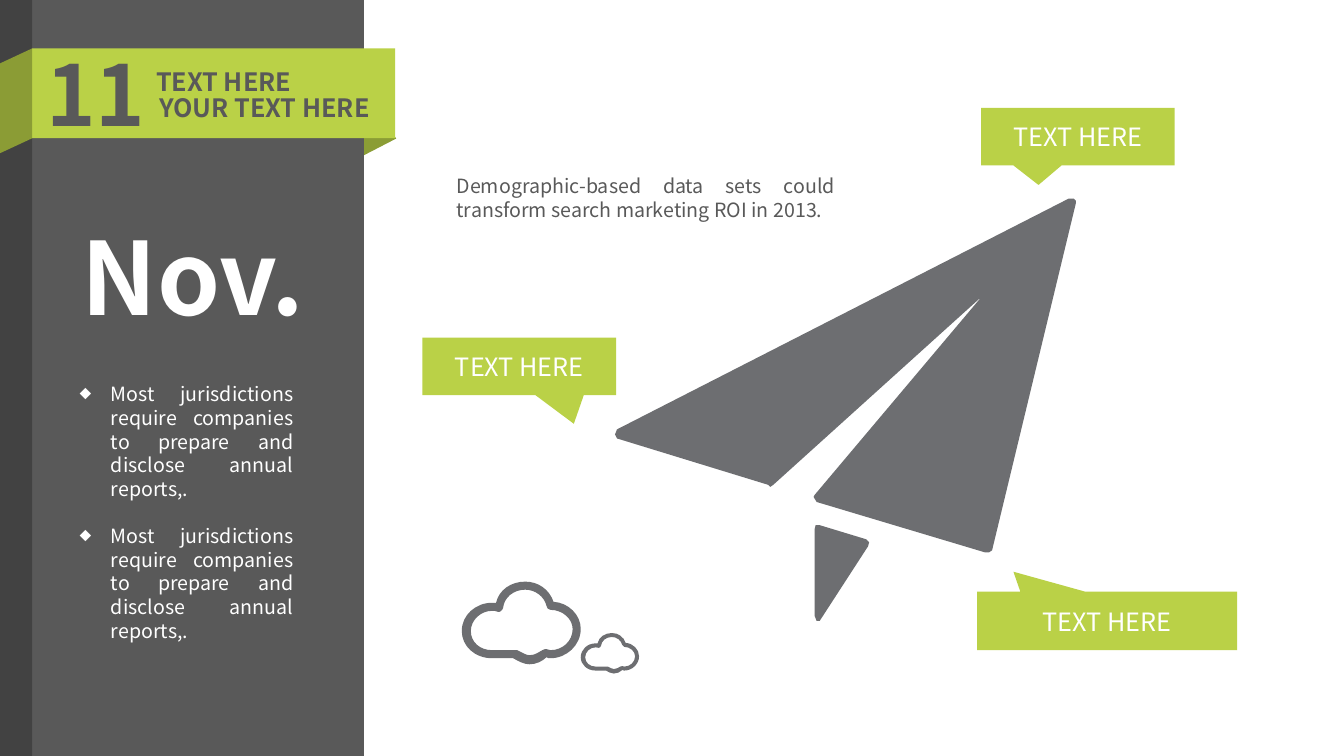
from lxml.etree import SubElement
from pptx import Presentation
from pptx.dml.color import RGBColor
from pptx.enum.shapes import MSO_SHAPE
from pptx.enum.text import MSO_ANCHOR, MSO_AUTO_SIZE, PP_ALIGN
from pptx.oxml.ns import qn
from pptx.util import Inches, Pt

FONT = "Noto Sans CJK SC"
LINE_HEIGHT = 1.205
LIME = RGBColor(0xBA, 0xD1, 0x47)
OLIVE = RGBColor(0x8B, 0x9D, 0x35)
CHARCOAL = RGBColor(0x59, 0x59, 0x59)
SLATE = RGBColor(0x6D, 0x6E, 0x71)
BLACK = RGBColor(0, 0, 0)
WHITE = RGBColor(0xFF, 0xFF, 0xFF)

WINGS = [
    (10.65, 1.97), (10.6, 1.97), (6.12, 4.26), (6.1, 4.31), (6.12, 4.35),
    (7.62, 4.81), (7.64, 4.83), (7.67, 4.81), (9.74, 2.94), (8.08, 4.91),
    (8.07, 4.93), (8.1, 4.98), (9.77, 5.48), (9.81, 5.48), (9.84, 5.46),
    (10.67, 2.02), (10.67, 1.99),
]
KEEL = [
    (8.59, 5.35), (8.13, 5.21), (8.09, 5.21), (8.08, 5.25), (8.08, 6.11),
    (8.1, 6.16), (8.13, 6.16), (8.15, 6.13), (8.61, 5.42), (8.62, 5.38),
]
CLOUD_OUTSIDE = [
    (0.67, 0.82), (0.62, 0.82), (0.56, 0.79), (0.51, 0.76),
    (0.3, 0.76), (0.3, 0.76), (0.3, 0.76), (0.13, 0.76), (0, 0.64), (0, 0.49),
    (0, 0.33), (0.14, 0.21), (0.3, 0.21), (0.31, 0.21), (0.33, 0.21), (0.34, 0.21),
    (0.37, 0.08), (0.49, 0), (0.63, 0), (0.76, 0), (0.87, 0.08), (0.91, 0.2),
    (1.06, 0.21), (1.18, 0.33), (1.18, 0.47), (1.18, 0.63), (1.04, 0.76), (0.88, 0.76),
    (0.87, 0.76), (0.85, 0.76), (0.84, 0.75), (0.8, 0.79), (0.74, 0.82), (0.67, 0.82),
]
CLOUD_INSIDE = [
    (0.3, 0.29), (0.19, 0.29), (0.09, 0.38), (0.09, 0.49),
    (0.09, 0.6), (0.18, 0.68), (0.3, 0.68), (0.53, 0.68), (0.53, 0.68), (0.53, 0.68),
    (0.54, 0.68), (0.54, 0.68), (0.55, 0.68), (0.59, 0.7), (0.64, 0.73), (0.67, 0.73),
    (0.73, 0.73), (0.76, 0.7), (0.8, 0.68), (0.81, 0.67), (0.83, 0.67), (0.84, 0.67),
    (0.85, 0.67), (0.87, 0.68), (0.88, 0.68), (1, 0.68), (1.1, 0.59), (1.1, 0.47),
    (1.1, 0.37), (1, 0.28), (0.88, 0.28), (0.86, 0.28), (0.84, 0.26), (0.84, 0.24),
    (0.82, 0.15), (0.73, 0.08), (0.63, 0.08), (0.51, 0.08), (0.42, 0.16), (0.41, 0.26),
    (0.41, 0.27), (0.4, 0.28), (0.39, 0.29), (0.39, 0.3), (0.37, 0.3), (0.36, 0.3),
    (0.34, 0.29), (0.32, 0.29), (0.3, 0.29),
]


def paint(shape, color):
    """Give a shape a flat fill without line or shadow."""
    shape.shadow.inherit = False
    shape.fill.solid()
    shape.fill.fore_color.rgb = color
    shape.line.fill.background()


def add_block(slide, kind, box, color, adjustments=(), rotation=0):
    """Add a flat preset shape."""
    shape = slide.shapes.add_shape(kind, *map(Inches, box))
    paint(shape, color)
    shape.rotation = rotation
    for index, value in enumerate(adjustments):
        shape.adjustments[index] = value
    return shape


def write_text(paragraph, text, size, color, bold=False, align=PP_ALIGN.LEFT):
    """Write one formatted run into a paragraph."""
    paragraph.alignment = align
    paragraph.line_spacing = Pt(round(size * LINE_HEIGHT, 1))
    paragraph.space_before = paragraph.space_after = Pt(0)
    run = paragraph.add_run()
    run.text = text
    run.font.name = FONT
    run.font.size = Pt(size)
    run.font.bold = bold
    run.font.color.rgb = color


def add_label(slide, box, text, size, bold=True, align=PP_ALIGN.LEFT, wrap=False):
    """Add a charcoal text box."""
    frame = slide.shapes.add_textbox(*map(Inches, box)).text_frame
    frame.word_wrap = wrap
    write_text(frame.paragraphs[0], text, size, CHARCOAL, bold, align)


def add_callout(slide, box, pointer):
    """Add a lime callout whose tip is set by the pointer."""
    shape = add_block(slide, MSO_SHAPE.RECTANGULAR_CALLOUT, box, LIME, pointer)
    shape.text_frame.vertical_anchor = MSO_ANCHOR.MIDDLE
    write_text(shape.text_frame.paragraphs[0], "TEXT HERE", 18, WHITE, align=PP_ALIGN.CENTER)


def add_outline(slide, contours):
    """Add one slate freeform made of closed contours."""
    builder = None
    for contour in contours:
        points = [(Inches(x), Inches(y)) for x, y in contour]
        if builder is None:
            builder = slide.shapes.build_freeform(*points[0])
        else:
            builder.move_to(*points[0])
        builder.add_line_segments(points[1:], close=False)
        builder.add_line_segments([], close=True)
    shape = builder.convert_to_shape()
    paint(shape, SLATE)
    return shape


def bend_segments(shape):
    """Turn each three line segments of a freeform into one cubic curve."""
    segments = [
        segment for segment in shape.element.iter(qn("a:lnTo"))
    ]
    for start in range(0, len(segments), 3):
        first, second, third = segments[start:start + 3]
        first.tag = qn("a:cubicBezTo")
        for segment in (second, third):
            first.append(segment[0])
            segment.getparent().remove(segment)


def add_cloud(slide, left, top, scale):
    """Add a hollow cloud with curved edges."""
    shape = add_outline(slide, [
        [(left + scale * x, top + scale * y) for x, y in controls]
        for controls in (CLOUD_OUTSIDE, CLOUD_INSIDE)
    ])
    bend_segments(shape)


def place_placeholder(placeholder, box):
    """Move a placeholder to its box in front of the panel and return its text frame."""
    placeholder.left, placeholder.top, placeholder.width, placeholder.height = map(Inches, box)
    placeholder.element.getparent().append(placeholder.element)
    frame = placeholder.text_frame
    frame.auto_size = MSO_AUTO_SIZE.NONE
    frame.vertical_anchor = MSO_ANCHOR.TOP
    return frame


def add_bullet(paragraph):
    """Give a paragraph a hanging diamond bullet."""
    properties = paragraph._p.get_or_add_pPr()
    properties.set("marL", str(Inches(0.31)))
    properties.set("indent", str(-Inches(0.31)))
    SubElement(properties, qn("a:buSzPct"), val="60000")
    SubElement(properties, qn("a:buFont"), typeface=FONT)
    SubElement(properties, qn("a:buChar"), char="◆")


def add_side_panel(slide):
    """Draw the dark panel with its folded lime ribbon."""
    add_block(slide, MSO_SHAPE.ISOSCELES_TRIANGLE, (3.47, 1.08, 0.6, 0.32), OLIVE, [0.725], 90)
    add_block(slide, MSO_SHAPE.RECTANGLE, (0, 0, 3.61, 7.5), CHARCOAL)
    fold = add_block(slide, MSO_SHAPE.PARALLELOGRAM, (-0.36, 0.84, 1.04, 0.32), LIME, [0.466], 90)
    fold.element.spPr.find(qn("a:xfrm")).set("flipH", "1")
    add_block(slide, MSO_SHAPE.RECTANGLE, (0.32, 0.48, 3.6, 0.89), LIME)
    shade = add_block(slide, MSO_SHAPE.RECTANGLE, (0, 0, 0.32, 7.5), BLACK)
    color = shade.element.spPr.find(qn("a:solidFill"))[0]
    SubElement(color, qn("a:alpha"), val="25000")


def main():
    """Build the slide and save it."""
    presentation = Presentation()
    presentation.slide_width = Inches(13.33)
    presentation.slide_height = Inches(7.5)
    slide = presentation.slides.add_slide(presentation.slide_layouts[1])
    title, body = slide.placeholders
    add_side_panel(slide)
    add_label(slide, (0.36, 0.37, 1.39, 1.11), "11", 60, wrap=True)
    add_label(slide, (1.45, 0.61, 1.6, 0.4), "TEXT HERE", 18)
    add_label(slide, (1.48, 0.87, 2.41, 0.4), "YOUR TEXT HERE", 18)
    frame = place_placeholder(body, (0.69, 3.74, 2.32, 2.93))
    for paragraph in (frame.paragraphs[0], frame.add_paragraph()):
        add_bullet(paragraph)
        write_text(paragraph, "Most jurisdictions require companies to prepare and disclose "
                   "annual reports,.", 14, WHITE, align=PP_ALIGN.JUSTIFY)
    paragraph.space_before = Pt(16.9)
    add_outline(slide, [WINGS])
    add_outline(slide, [KEEL])
    add_callout(slide, (9.69, 5.87, 2.58, 0.58), (-0.36, -0.842))
    add_callout(slide, (9.73, 1.07, 1.92, 0.57), (-0.203, 0.842))
    add_callout(slide, (4.19, 3.35, 1.92, 0.57), (0.282, 0.999))
    add_label(slide, (4.43, 1.68, 3.95, 0.57), "Demographic-based data sets could transform "
              "search marketing ROI in 2013.", 14, False, PP_ALIGN.JUSTIFY, True)
    frame = place_placeholder(title, (0.71, 2.07, 2.53, 1.31))
    frame.word_wrap = False
    write_text(frame.paragraphs[0], "Nov.", 72, WHITE, True)
    add_cloud(slide, 4.58, 5.77, 1)
    add_cloud(slide, 5.76, 6.28, 0.49)
    presentation.save("out.pptx")


if __name__ == "__main__":
    main()
